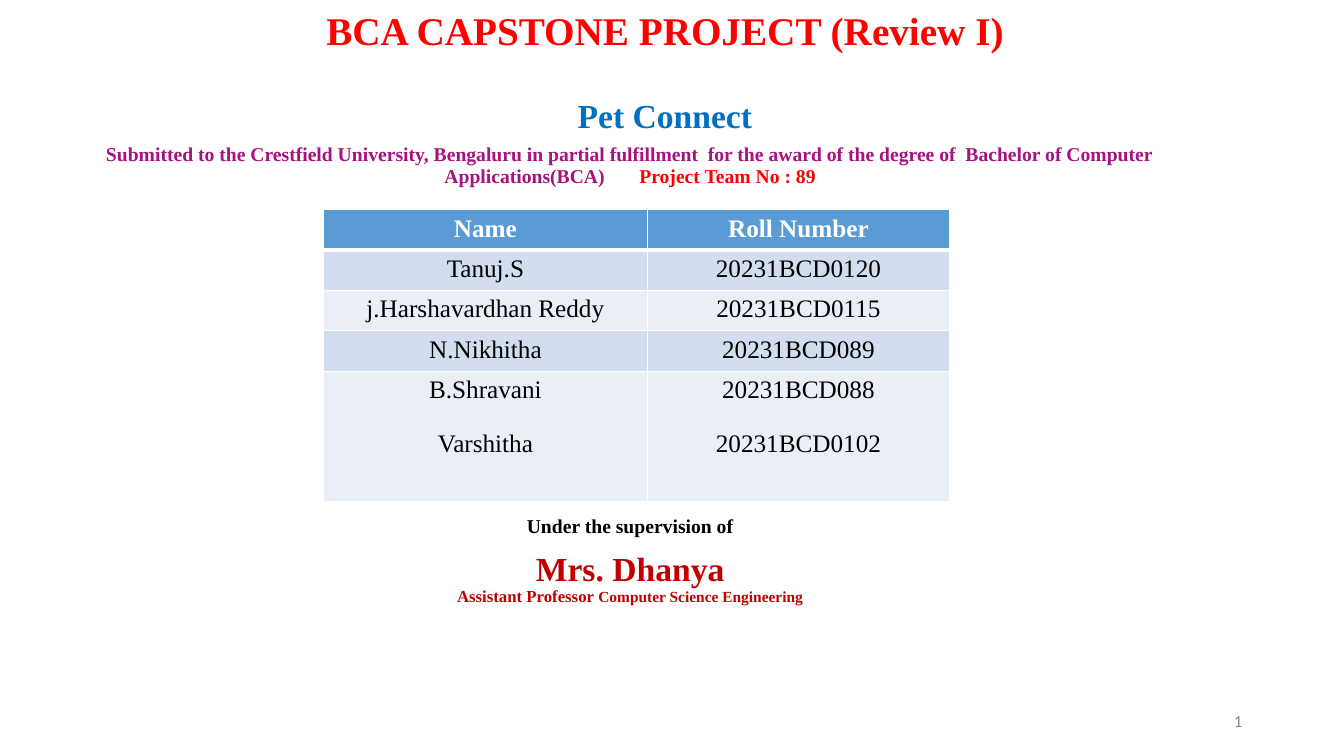
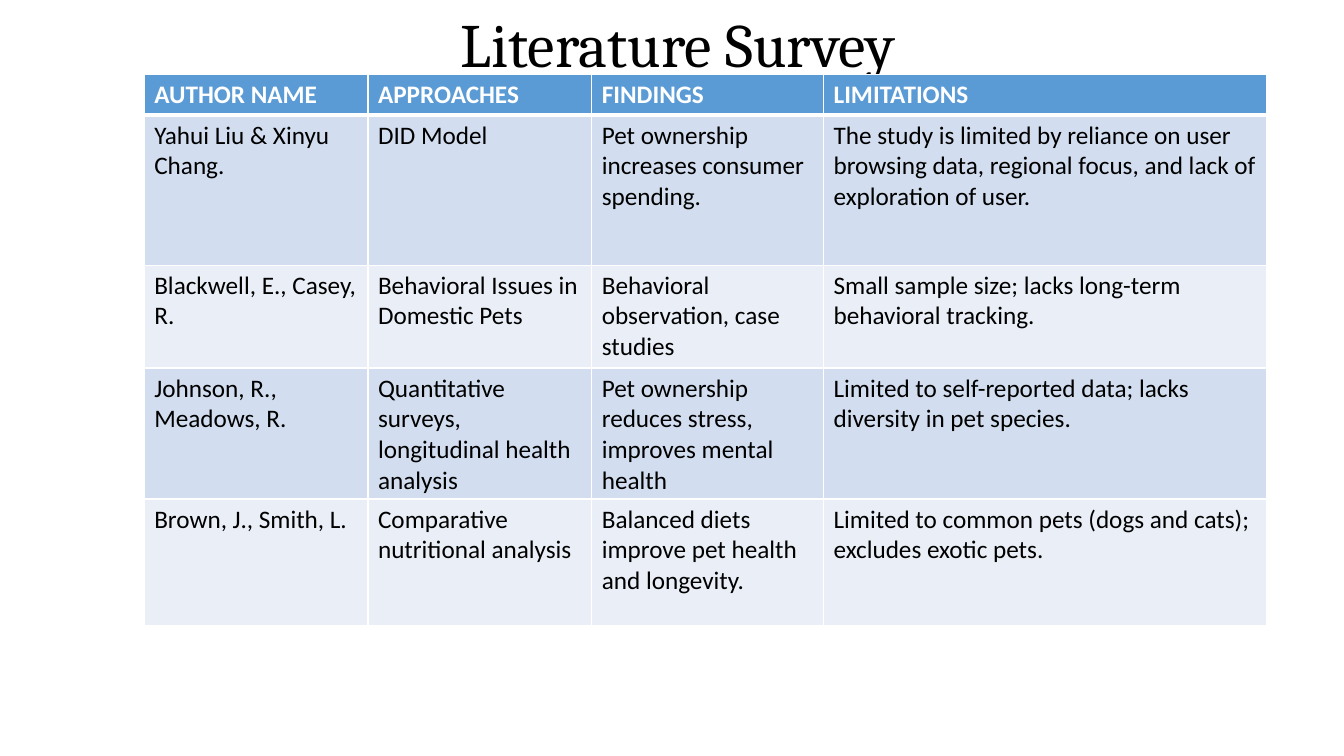
from lxml import etree
from pptx import Presentation
from pptx.dml.color import RGBColor
from pptx.enum.text import MSO_ANCHOR, PP_ALIGN
from pptx.oxml.ns import qn
from pptx.util import Inches, Pt

LEFT, CENTER, RIGHT = PP_ALIGN.LEFT, PP_ALIGN.CENTER, PP_ALIGN.RIGHT
TOP, MIDDLE = MSO_ANCHOR.TOP, MSO_ANCHOR.MIDDLE

SERIF, HEADING, SANS = "Times New Roman", "Cambria", "Calibri"
WHITE, BLACK, GRAY = "FFFFFF", "000000", "898989"
RED, BLUE, PURPLE, MAROON = "FF0000", "0070C0", "A71180", "C00000"
HEADER_FILL, BANDS = "5B9BD5", ("EAEFF7", "D2DEEF")
TIGHT = 0.9

deck = Presentation()
deck.slide_width, deck.slide_height = Inches(13.33), Inches(7.5)
COL, ROW = deck.slide_width / 100, deck.slide_height / 100  # 100 x 100 grid


def paint(fill, color):
    fill.solid()
    fill.fore_color.rgb = RGBColor.from_string(color)


def write(frame, text, size=18, font=SERIF, color=BLACK, bold=False, align=CENTER,
          line=1.0, before=0, inline=False, tracking=0):
    """Add text as a new paragraph, or to the last one when inline; return the run."""
    paragraph = frame.paragraphs[-1]
    if paragraph.runs and not inline:
        paragraph = frame.add_paragraph()
    if not inline:
        paragraph.alignment = align
        paragraph.line_spacing = line
        paragraph.space_before = Pt(before)
    run = paragraph.add_run()
    run.text = text
    run.font.size, run.font.name, run.font.bold = Pt(size), font, bold
    paint(run.font.fill, color)
    if tracking:
        run._r.get_or_add_rPr().set("spc", str(tracking * 100))
    return run


# Each text area: grid place, anchor, and its pieces of text with their format
cover_texts = [
    ((6.9, 0.93, 85.14, 16), TOP, [
        ("BCA CAPSTONE PROJECT (Review I)",
         dict(size=28, color=RED, bold=True, line=TIGHT)),
        ("Pet Connect",
         dict(size=24, color=BLUE, bold=True, line=TIGHT, before=32)),
    ]),
    ((3.75, 18.53, 86.27, 8), TOP, [
        ("Submitted to the Crestfield University, Bengaluru in partial fulfillment  "
         "for the award of the degree of  Bachelor of Computer Applications(BCA)",
         dict(size=14, color=PURPLE, bold=True, line=TIGHT)),
        (" ", dict(size=14, bold=True, inline=True, tracking=21)),
        ("Project Team No : 89", dict(size=14, color=RED, bold=True, inline=True)),
    ]),
    ((3.75, 67.73, 86.27, 16), TOP, [
        ("Under the supervision of", dict(size=14, bold=True, line=TIGHT)),
        ("Mrs. Dhanya",
         dict(size=24, color=MAROON, bold=True, line=TIGHT, before=10)),
        ("Assistant Professor ",
         dict(size=12, color=MAROON, bold=True, line=TIGHT)),
        ("Computer Science Engineering",
         dict(size=11, color=MAROON, bold=True, inline=True)),
    ]),
]
survey_texts = [
    ((6.68, 1.6, 87.55, 9.47), MIDDLE, [
        ("Literature Survey", dict(size=44, font=HEADING, line=TIGHT)),
    ]),
]

# Each table: grid place, column widths, row heights, cell format, rows
team_table = (
    (24.08, 27.73), (24.08, 22.5), (5.33, 5.33, 5.33, 5.33, 17.33),
    dict(font=SERIF, align=CENTER), [
        ("Name", "Roll Number"),
        ("Tanuj.S", "20231BCD0120"),
        ("j.Harshavardhan Reddy", "20231BCD0115"),
        ("N.Nikhitha", "20231BCD089"),
        ("B.Shravani\nVarshitha", "20231BCD088\n20231BCD0102"),
    ])
survey_table = (
    (10.73, 9.87), (16.65, 16.65, 17.25, 32.93), (5.33, 19.87, 13.6, 17.33, 16.8),
    dict(font=SANS, align=LEFT), [
        ("AUTHOR NAME", "APPROACHES", "FINDINGS", "LIMITATIONS"),
        ("Yahui Liu & Xinyu Chang.", "DID Model",
         "Pet ownership increases consumer spending.",
         "The study is limited by reliance on user browsing data, regional focus, "
         "and lack of exploration of user."),
        ("Blackwell, E., Casey, R.", "Behavioral Issues in Domestic Pets",
         "Behavioral observation, case studies",
         "Small sample size; lacks long-term behavioral tracking."),
        ("Johnson, R., Meadows, R.",
         "Quantitative surveys, longitudinal health analysis",
         "Pet ownership reduces stress, improves mental health",
         "Limited to self-reported data; lacks diversity in pet species."),
        ("Brown, J., Smith, L.", "Comparative nutritional analysis",
         "Balanced diets improve pet health and longevity.",
         "Limited to common pets (dogs and cats); excludes exotic pets."),
    ])
page_number = ((70.67, 92.67, 22.5, 5.33), MIDDLE, [
    ("1", dict(size=12, font=SANS, color=GRAY, align=RIGHT)),
])
cover_texts.append(page_number)

for texts, table_plan in ((cover_texts, team_table), (survey_texts, survey_table)):
    slide = deck.slides.add_slide(deck.slide_layouts[6])

    for area in texts:
        (left, top, width, height), anchor, pieces = area
        frame = slide.shapes.add_textbox(
            int(left * COL), int(top * ROW), int(width * COL), int(height * ROW)
        ).text_frame
        frame.word_wrap = True
        frame.vertical_anchor = anchor
        for text, style in pieces:
            run = write(frame, text, **style)
        if area is page_number:
            run._r.tag = qn("a:fld")
            run._r.set("id", "{B6F15528-21DE-4FAA-801E-634DDDAF4B2B}")
            run._r.set("type", "slidenum")

    (left, top), widths, heights, style, rows = table_plan
    table = slide.shapes.add_table(
        len(rows), len(widths), int(left * COL), int(top * ROW),
        int(sum(widths) * COL), int(sum(heights) * ROW)).table
    for column, width in zip(table.columns, widths):
        column.width = int(width * COL)
    for r, (values, height) in enumerate(zip(rows, heights)):
        table.rows[r].height = int(height * ROW)
        header = r == 0
        edges = {"L": 1, "R": 1, "T": 3 if r == 1 else 1, "B": 3 if header else 1}
        for c, value in enumerate(values):
            cell = table.cell(r, c)
            for side, points in edges.items():
                edge = etree.SubElement(cell._tc.get_or_add_tcPr(), qn(f"a:ln{side}"),
                                        w=str(Pt(points)))
                solid = etree.SubElement(edge, qn("a:solidFill"))
                etree.SubElement(solid, qn("a:srgbClr"), val=WHITE)
            paint(cell.fill, HEADER_FILL if header else BANDS[r % 2])
            for n, text in enumerate(value.split("\n")):
                write(cell.text_frame, text, color=WHITE if header else BLACK,
                      bold=header, before=18.6 * n, **style)

deck.save("out.pptx")
